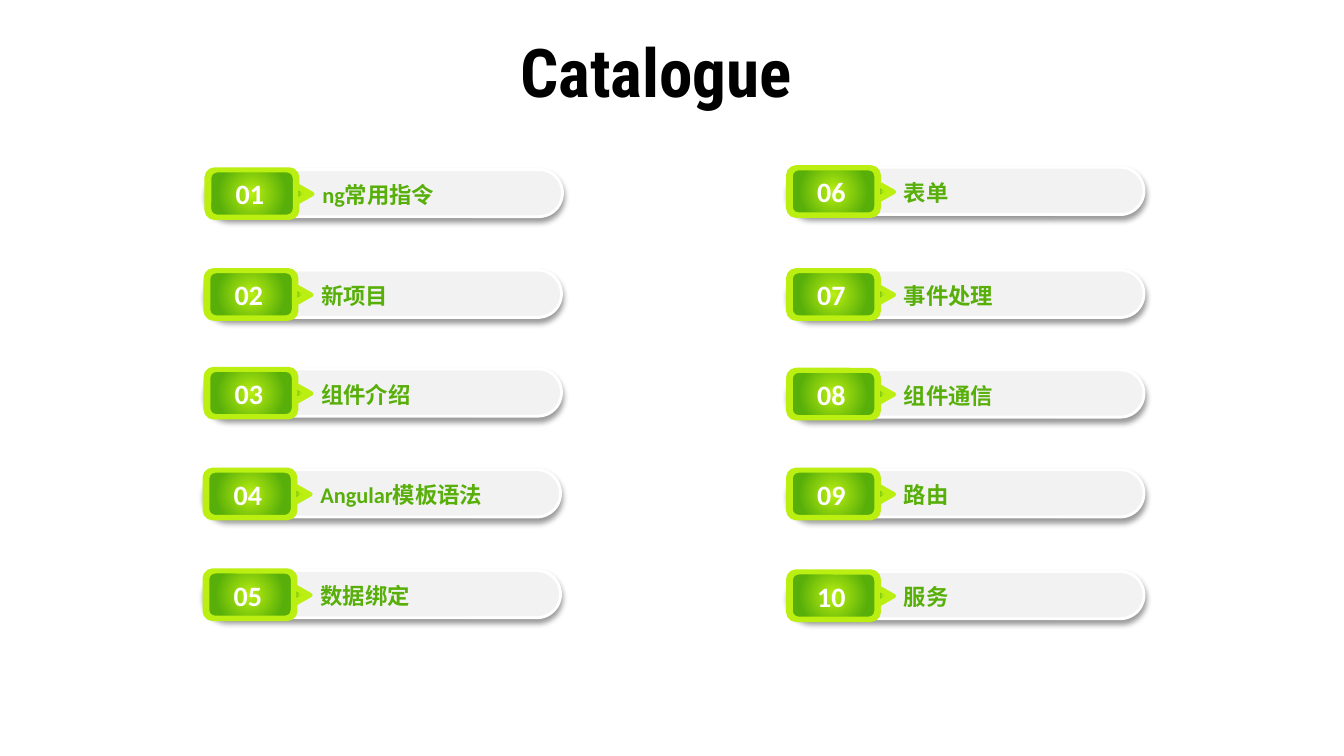
from copy import deepcopy

from pptx import Presentation
from pptx.dml.color import RGBColor
from pptx.enum.shapes import MSO_SHAPE
from pptx.enum.text import MSO_ANCHOR, MSO_AUTO_SIZE, PP_ALIGN
from pptx.oxml import parse_xml
from pptx.oxml.ns import nsdecls, qn
from pptx.util import Pt

LIME, GREEN, WHITE = "BAEF11", "58AF09", "FFFFFF"


def colour(value):
    return RGBColor.from_string(value)


def write(box, text, size, font, ink, align, spacing):
    frame = box.text_frame
    frame.text = text
    paragraph = frame.paragraphs[0]
    formats = (
        (frame, {"word_wrap": True, "auto_size": MSO_AUTO_SIZE.SHAPE_TO_FIT_TEXT,
                 "vertical_anchor": MSO_ANCHOR.TOP}),
        (paragraph, {"alignment": align, "line_spacing": spacing}),
        (paragraph.runs[0].font, {"size": Pt(size), "name": font, "bold": True}),
    )
    for target, values in formats:
        for attribute, value in values.items():
            setattr(target, attribute, value)
    paragraph.runs[0].font.color.rgb = colour(ink)


glow = parse_xml(
    f'<a:gradFill {nsdecls("a")} rotWithShape="1"><a:gsLst>'
    f'<a:gs pos="0"><a:srgbClr val="{LIME}"/></a:gs>'
    f'<a:gs pos="72000"><a:srgbClr val="{GREEN}"/></a:gs></a:gsLst>'
    '<a:path path="circle"><a:fillToRect l="50000" t="50000" r="50000" b="50000"/></a:path>'
    '</a:gradFill>'
)
pill_shadow = parse_xml(
    f'<a:outerShdw {nsdecls("a")} blurRad="{Pt(4)}" dist="{Pt(3)}" dir="5400000" '
    'algn="t" rotWithShape="0"><a:srgbClr val="000000"><a:alpha val="40000"/></a:srgbClr>'
    '</a:outerShdw>'
)

ROUND, ARROW = MSO_SHAPE.ROUNDED_RECTANGLE, MSO_SHAPE.ISOSCELES_TRIANGLE
button_parts = [
    (ROUND, 19.4, 3.6, 185, 30.2, "E4E4E4", "D9D9D9", 2),
    (ROUND, 0, 0, 254.2, 33.8, "F2F2F2", WHITE, 2),
    (ROUND, 0, 0, 64.8, 34.6, None, LIME, 3),
    (ROUND, 1.8, 0.7, 61.2, 33.1, None, LIME, 3),
    (ARROW, 64.1, 12.2, 12.2, 10.8, None, LIME, 3),
    (ARROW, 63.2, 13, 10.1, 8.6, None, LIME, 3),
]
chapters = [
    ("ng常用指令", 147.6, 121),
    ("新项目", 146.9, 193),
    ("组件介绍", 146.9, 263.5),
    ("Angular模板语法", 146.2, 335.5),
    ("数据绑定", 146.2, 407.5),
    ("表单", 563, 119.5),
    ("事件处理", 563, 193),
    ("组件通信", 563, 264.2),
    ("路由", 563, 335.5),
    ("服务", 563, 408.2),
]

deck = Presentation()
deck.slide_width, deck.slide_height = Pt(960), Pt(540)
slide = deck.slides.add_slide(deck.slide_layouts[5])

heading = slide.shapes.title
placement = {"left": 350, "top": 18, "width": 237.6, "height": 65.5}
for attribute, value in placement.items():
    setattr(heading, attribute, Pt(value))
write(heading, "Catalogue", 48, "Roboto Condensed", "000000", PP_ALIGN.CENTER, 1.0)

for number, (topic, left, top) in enumerate(chapters, 1):
    button = slide.shapes.add_group_shape()
    for kind, dx, dy, width, height, fill, outline, weight in button_parts:
        part = button.shapes.add_shape(
            kind, Pt(left + dx), Pt(top + dy), Pt(width), Pt(height))
        part.shadow.inherit = False
        part.line.color.rgb = colour(outline)
        part.line.width = Pt(weight)
        properties = part.element.spPr
        if fill:
            part.adjustments[0] = 0.5
            part.fill.solid()
            part.fill.fore_color.rgb = colour(fill)
        else:
            part.fill.background()
            properties.replace(properties.find(qn("a:noFill")), deepcopy(glow))
        if kind == ARROW:
            part.rotation = 90
        if outline == WHITE:
            properties.find(qn("a:effectLst")).append(deepcopy(pill_shadow))

    badge_number = button.shapes.add_textbox(
        Pt(left + 5), Pt(top + 6.5), Pt(51.8), Pt(26.6))
    write(badge_number, f"{number:02}", 20, "Calibri", WHITE, PP_ALIGN.CENTER, 0.8)
    topic_label = slide.shapes.add_textbox(
        Pt(left + 75.6), Pt(top + 8.6), Pt(167.8), Pt(23))
    write(topic_label, topic, 16, "Calibri", GREEN, PP_ALIGN.LEFT, 0.8)

deck.save("out.pptx")
